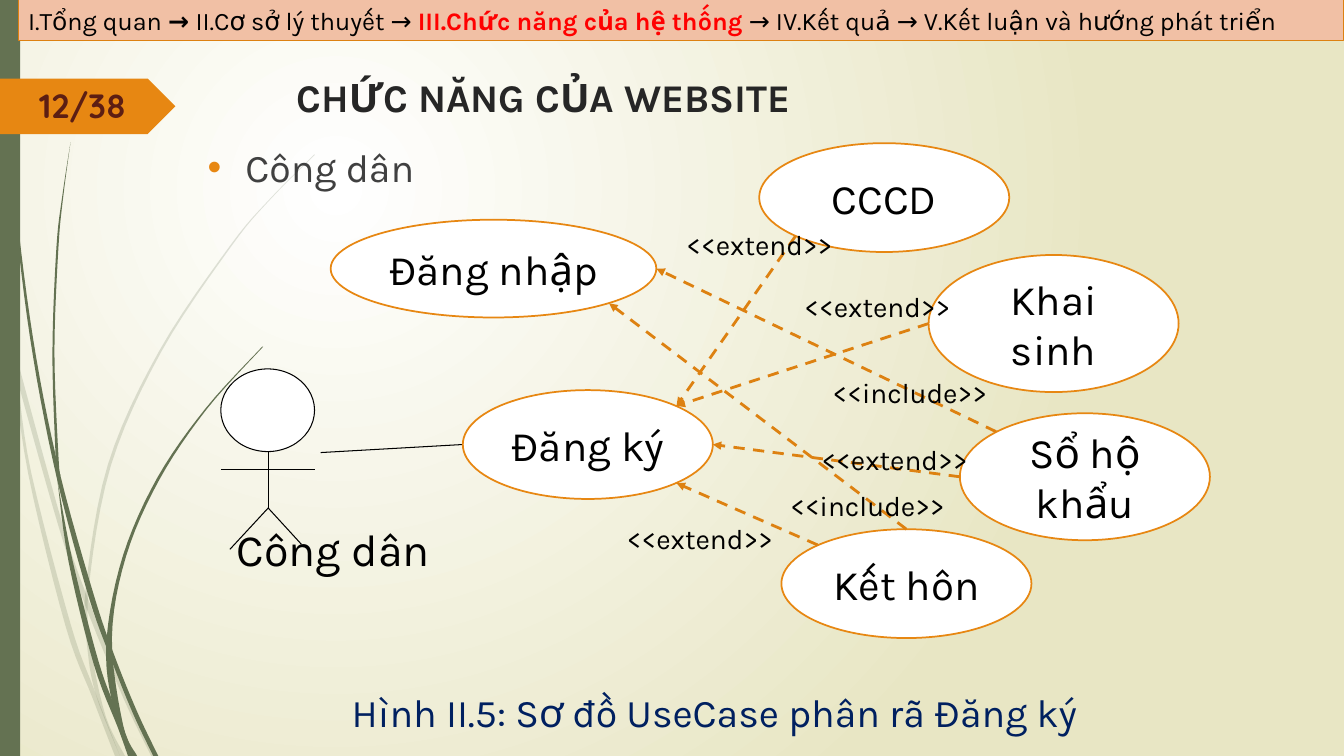
from lxml import etree
from pptx import Presentation
from pptx import util as u
from pptx.dml.color import RGBColor
from pptx.enum import dml, shapes, text
from pptx.oxml import parse_xml
from pptx.oxml.ns import nsdecls, qn

BLACK = RGBColor(0, 0, 0)
WHITE = RGBColor(255, 255, 255)
RED = RGBColor(255, 0, 0)
NAVY = RGBColor(0x00, 0x20, 0x60)
BROWN = RGBColor(0x5C, 0x1E, 0x13)
TITLE_GREY = RGBColor(0x26, 0x26, 0x26)
BODY_GREY = RGBColor(0x40, 0x40, 0x40)
GREEN = RGBColor(0x64, 0x72, 0x52)
ORANGE = RGBColor(0xE7, 0x87, 0x12)
DARK_ORANGE = RGBColor(0xDD, 0x81, 0x11)
PEACH = RGBColor(0xF1, 0xC0, 0xA5)
SAND = RGBColor(0xE8, 0xE6, 0xC4)

PALE_BLADES = [
    ([(0, 2.99), (0.1, 3.44), (0.17, 3.76), (0.58, 5.22), (0.84, 5.99), (1.23, 6.94), (1.5, 7.5)],
     [(0, 2.82), (0.09, 3.22), (0.14, 3.45), (0.62, 5.2), (0.88, 5.96), (1.27, 6.92), (1.55, 7.5)]),
    ([(0.11, 3.5), (0.28, 4.7), (0.65, 6.21), (0.92, 6.93), (1.14, 7.5)],
     [(0.11, 3.5), (0.17, 3.76), (0.31, 4.69), (0.7, 6.19), (0.93, 6.83), (1.19, 7.5)]),
    ([(3.12, 1.53), (2.68, 1.97), (2.28, 2.44), (1.58, 3.48), (1.07, 4.61), (0.85, 5.84),
      (0.87, 6.46), (0.96, 6.92), (1.19, 7.5)],
     [(3.12, 1.54), (2.68, 1.98), (2.29, 2.45), (1.6, 3.49), (1.1, 4.62), (0.88, 5.84),
      (0.91, 6.46), (1.05, 7.11), (1.24, 7.5)]),
]
DARK_BLADES = [
    ([(0.03, 0), (0.07, 1.1), (0.17, 2.33), (0.33, 3.55), (0.57, 4.77), (0.88, 5.92),
      (1.11, 6.56), (1.32, 7.08), (1.52, 7.5)],
     [(0.04, 0), (0.08, 1.09), (0.19, 2.32), (0.36, 3.55), (0.6, 4.72), (0.93, 5.9),
      (1.13, 6.49), (1.36, 7.06), (1.57, 7.5)]),
    ([(0.57, 4.77), (0.68, 5.57), (0.93, 6.59), (1.17, 7.22), (1.27, 7.5)],
     [(0.57, 4.77), (0.72, 5.56), (0.98, 6.57), (1.16, 7.06), (1.33, 7.5)]),
    ([(0.7, 1.41), (0.62, 1.93), (0.56, 2.45), (0.52, 3.49), (0.55, 4.49), (0.57, 4.77)],
     [(0.7, 1.41), (0.63, 1.93), (0.58, 2.45), (0.54, 3.49), (0.58, 4.53), (0.6, 4.72)]),
    ([(2.6, 3.44), (2.04, 4.05), (1.56, 4.74), (1.22, 5.51), (1.06, 6.31), (1.1, 6.91), (1.31, 7.5)],
     [(2.61, 3.44), (2.05, 4.06), (1.58, 4.76), (1.25, 5.52), (1.11, 6.33), (1.22, 7.19), (1.36, 7.5)]),
]

USE_CASES = {
    "Đăng nhập": (3.28, 2.18, 3.23, 0.97),
    "Đăng ký": (4.59, 3.87, 2.48, 1.08),
    "CCCD": (7.53, 1.42, 2.48, 1.08),
    "Khai sinh": (9.21, 2.53, 2.48, 1.36),
    "Sổ hộ khẩu": (9.52, 4.1, 2.48, 1.26),
    "Kết hôn": (7.75, 5.25, 2.48, 1.08),
}
SITES = {"top": (0, -1), "left": (-1, 0), "right": (1, 0), "top left": (-0.71, -0.71),
         "top right": (0.71, -0.71), "bottom left": (-0.71, 0.71), "bottom right": (0.71, 0.71)}
DEPENDENCIES = [
    ("CCCD", "bottom left", "Đăng ký", "top right"),
    ("Khai sinh", "left", "Đăng ký", "top right"),
    ("Sổ hộ khẩu", "left", "Đăng ký", "right"),
    ("Kết hôn", "top left", "Đăng ký", "bottom right"),
    ("Sổ hộ khẩu", "top left", "Đăng nhập", "right"),
    ("Kết hôn", "top", "Đăng nhập", "bottom right"),
]
STEREOTYPES = [
    ("<<extend>>", 6.12, 5.12), ("<<extend>>", 8.05, 4.34), ("<<extend>>", 7.88, 2.82),
    ("<<extend>>", 6.71, 2.21), ("<<include>>", 8.16, 3.68), ("<<include>>", 7.74, 4.8),
]
ACTOR_LIMBS = [((2.66, 4.48), (2.66, 5.04)), ((2.19, 4.66), (3.12, 4.66)),
               ((2.66, 5.04), (2.28, 5.45)), ((2.66, 5.04), (2.99, 5.4))]


def lengths(*inches):
    return [u.Cm(value * 2.54) for value in inches]


def set_font(font, size, color, bold=False, name="Karla"):
    font.name, font.size, font.bold = name, u.Pt(size), bold
    font.color.rgb = color


def paint_background(slide):
    slide._element.cSld.insert(0, parse_xml(
        f'<p:bg {nsdecls("p", "a")}><p:bgPr><a:gradFill rotWithShape="1"><a:gsLst>'
        f'<a:gs pos="0"><a:srgbClr val="{WHITE}"/></a:gs>'
        f'<a:gs pos="100000"><a:srgbClr val="{SAND}"/></a:gs></a:gsLst>'
        '<a:path path="circle"><a:fillToRect l="50000" t="50000" r="100000" b="100000"/></a:path>'
        '</a:gradFill><a:effectLst/></p:bgPr></p:bg>'))


def smooth(points, steps=6):
    padded = [points[0], *points, points[-1]]
    curve = []
    for a, b, c, d in zip(padded, padded[1:], padded[2:], padded[3:]):
        for step in range(steps):
            t = step / steps
            curve.append(tuple(
                q + t * (r - p) / 2 + t * t * (2 * p - 5 * q + 4 * r - s) / 2
                + t ** 3 * (3 * q - p - 3 * r + s) / 2
                for p, q, r, s in zip(a, b, c, d)))
    return curve + [points[-1]]


def add_blade(slide, left_edge, right_edge, opacity=100):
    outline = [lengths(*point) for point in smooth(left_edge) + smooth(right_edge)[::-1]]
    builder = slide.shapes.build_freeform(*outline[0])
    builder.add_line_segments(outline[1:])
    blade = builder.convert_to_shape()
    style(blade, GREEN)
    if opacity < 100:
        color = blade._element.spPr.find(qn("a:solidFill"))[0]
        etree.SubElement(color, qn("a:alpha"), val=str(opacity * 1000))


def style(shape, fill, line=None, width=0.75):
    shape.shadow.inherit = False
    shape.fill.solid()
    shape.fill.fore_color.rgb = fill
    if line is None:
        shape.line.fill.background()
    else:
        shape.line.color.rgb = line
        shape.line.width = u.Pt(width)


def add_box(slide, kind, box, fill, line=None, width=0.75):
    shape = slide.shapes.add_shape(kind, *lengths(*box))
    style(shape, fill, line, width)
    return shape


def add_line(slide, start, end, color=BLACK, width=0.75):
    line = slide.shapes.add_connector(shapes.MSO_CONNECTOR.STRAIGHT, *lengths(*start, *end))
    line.line.color.rgb = color
    line.line.width = u.Pt(width)
    etree.SubElement(line._element.spPr, qn("a:effectLst"))
    return line


def add_label(slide, words, box, size, color=BLACK, align=text.PP_ALIGN.LEFT, **font):
    frame = slide.shapes.add_textbox(*lengths(*box)).text_frame
    frame.word_wrap = True
    frame.auto_size = text.MSO_AUTO_SIZE.SHAPE_TO_FIT_TEXT
    paragraph = frame.paragraphs[0]
    paragraph.text, paragraph.alignment = words, align
    set_font(paragraph.font, size, color, **font)


def fill_placeholder(placeholder, words, box, color, bold=False):
    placeholder._element.getparent().append(placeholder._element)
    placeholder.left, placeholder.top, placeholder.width, placeholder.height = lengths(*box)
    frame = placeholder.text_frame
    frame.auto_size = text.MSO_AUTO_SIZE.NONE
    frame.vertical_anchor = text.MSO_ANCHOR.TOP
    paragraph = frame.paragraphs[0]
    paragraph.text, paragraph.alignment = words, text.PP_ALIGN.LEFT
    set_font(paragraph.font, 28, color, bold)
    return paragraph


def add_bullet(paragraph):
    paragraph.space_before = u.Pt(10)
    properties = paragraph._p.get_or_add_pPr()
    indent = u.Cm(0.95)
    properties.set("marL", str(indent))
    properties.set("indent", str(-indent))
    color = etree.SubElement(properties, qn("a:buClr"))
    etree.SubElement(color, qn("a:srgbClr"), val=str(ORANGE))
    etree.SubElement(properties, qn("a:buFont"), typeface="Arial")
    etree.SubElement(properties, qn("a:buChar"), char="•")
    properties.append(properties.find(qn("a:defRPr")))


def add_use_case(slide, name, box):
    ellipse = add_box(slide, shapes.MSO_SHAPE.OVAL, box, WHITE, ORANGE, 1.25)
    ellipse.text_frame.vertical_anchor = text.MSO_ANCHOR.MIDDLE
    paragraph = ellipse.text_frame.paragraphs[0]
    paragraph.text, paragraph.alignment = name, text.PP_ALIGN.CENTER
    paragraph.space_after = u.Pt(10)
    set_font(paragraph.font, 30, BLACK)


def site(name, side):
    left, top, width, height = USE_CASES[name]
    across, down = SITES[side]
    return left + width / 2 * (1 + across), top + height / 2 * (1 + down)


def add_dependency(slide, source, source_side, target, target_side):
    arrow = add_line(slide, site(source, source_side), site(target, target_side), DARK_ORANGE, 2)
    arrow.line.dash_style = dml.MSO_LINE.DASH
    etree.SubElement(arrow.line._get_or_add_ln(), qn("a:tailEnd"), type="triangle")


def add_banner(slide):
    banner = add_box(slide, shapes.MSO_SHAPE.RECTANGLE, (0.18, 0, 13.15, 0.4), PEACH, DARK_ORANGE)
    banner.text_frame.vertical_anchor = text.MSO_ANCHOR.MIDDLE
    paragraph = banner.text_frame.paragraphs[0]
    paragraph.alignment = text.PP_ALIGN.LEFT
    for words, color, bold in [("I.Tổng quan ", BLACK, False), ("→ ", BLACK, True),
                               ("II.Cơ sở lý thuyết → ", BLACK, False),
                               ("III.Chức năng của hệ thống ", RED, True),
                               ("→ IV.Kết quả → V.Kết luận và hướng phát triển", BLACK, False)]:
        run = paragraph.add_run()
        run.text = words
        set_font(run.font, 18, color, bold)


def main():
    presentation = Presentation()
    presentation.slide_width, presentation.slide_height = lengths(13.33, 7.5)
    slide = presentation.slides.add_slide(presentation.slide_layouts[1])
    title, body = slide.placeholders
    paint_background(slide)
    for edges in PALE_BLADES:
        add_blade(slide, *edges, opacity=20)
    for edges in DARK_BLADES:
        add_blade(slide, *edges)
    add_box(slide, shapes.MSO_SHAPE.RECTANGLE, (0, 0, 0.2, 7.5), GREEN)
    add_box(slide, shapes.MSO_SHAPE.PENTAGON, (0, 0.78, 1.74, 0.55), ORANGE)
    fill_placeholder(title, "CHỨC NĂNG CỦA WEBSITE", (2.84, 0.68, 9.75, 1.4), TITLE_GREY, True)
    add_bullet(fill_placeholder(body, "Công dân", (1.96, 1.37, 9.72, 0.73), BODY_GREY))
    add_label(slide, "12/38", (0.29, 0.79, 1.2, 0.5), 24, BROWN, bold=True, name="Quicksand")
    add_box(slide, shapes.MSO_SHAPE.OVAL, (2.19, 3.66, 0.93, 0.82), WHITE, BLACK)
    for start, end in ACTOR_LIMBS:
        add_line(slide, start, end)
    add_line(slide, (3.18, 4.49), site("Đăng ký", "left"))
    add_label(slide, "Công dân", (2.25, 5.13, 2.44, 0.64), 32)
    add_label(slide, "Hình II.5: Sơ đồ UseCase phân rã Đăng ký", (2.98, 6.78, 8.21, 0.57), 28, NAVY,
              text.PP_ALIGN.CENTER)
    add_banner(slide)
    for name, box in USE_CASES.items():
        add_use_case(slide, name, box)
    for dependency in DEPENDENCIES:
        add_dependency(slide, *dependency)
    for words, left, top in STEREOTYPES:
        add_label(slide, words, (left, top, 1.9, 0.44), 20)
    presentation.save("out.pptx")


if __name__ == "__main__":
    main()
